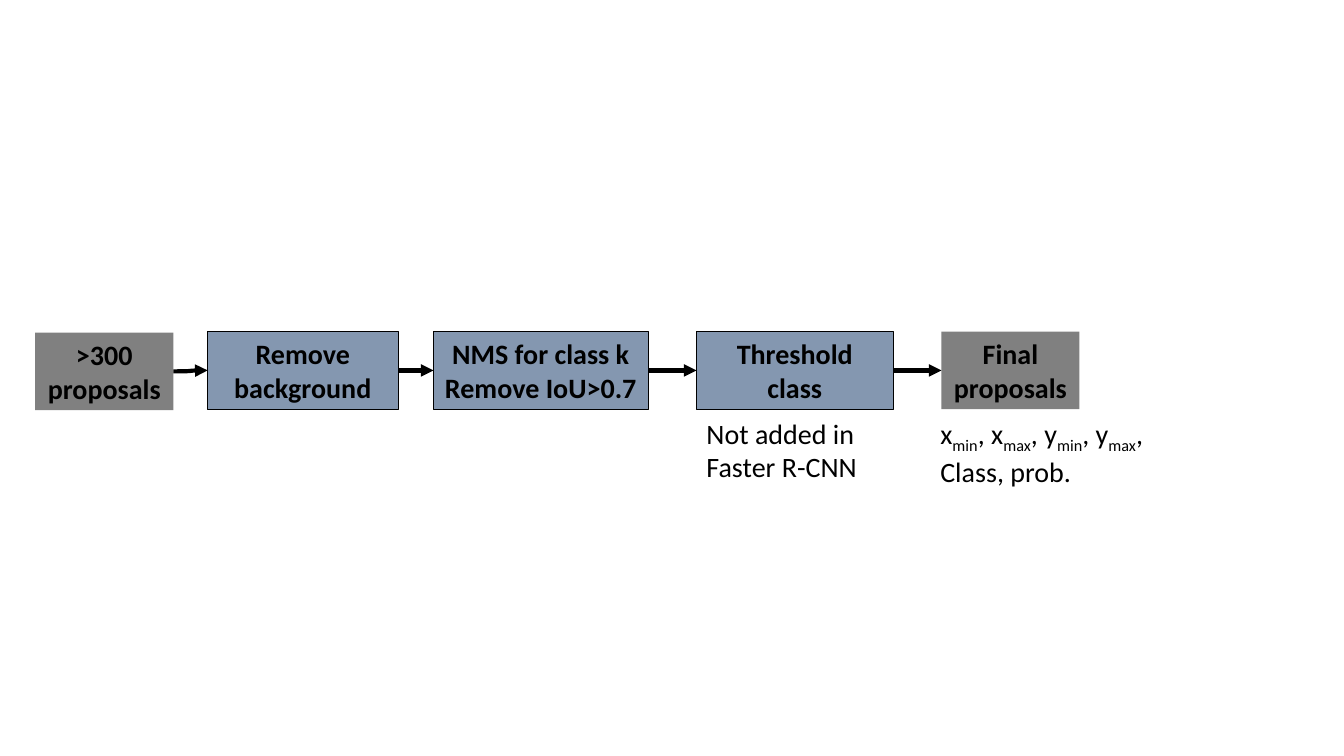
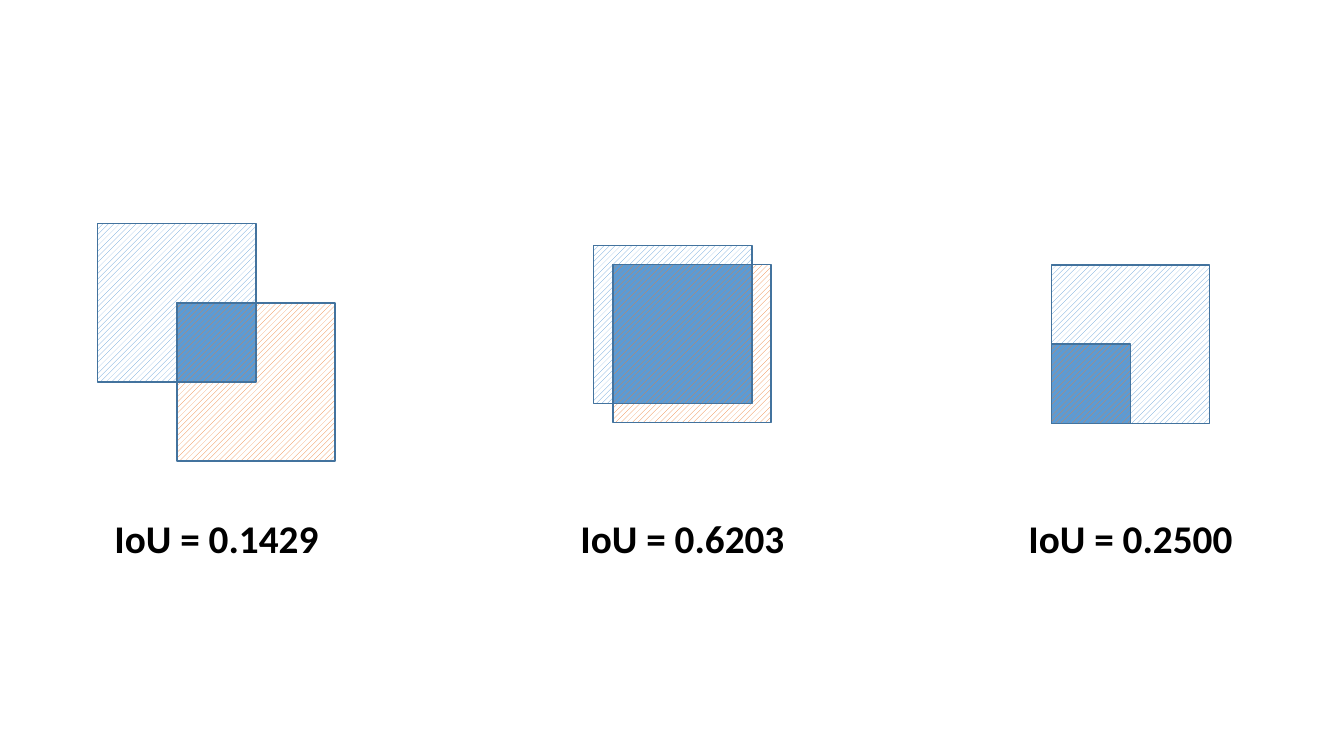
from dataclasses import dataclass
from typing import Any, Optional

from lxml import etree
from pptx import Presentation, util as u
from pptx.dml.color import RGBColor
from pptx.enum import dml, shapes, text
from pptx.oxml import ns

WIDTH, HEIGHT = u.Inches(13.333), u.Inches(7.5)
COLS = 160
CELL = WIDTH / COLS

FONT = "Calibri"
BLACK, WHITE = "000000", "FFFFFF"
GREY, SLATE = "808080", "8497B0"
BLUE, ORANGE, OUTLINE = "5B9BD5", "ED7D31", "43739E"

STAGE_Y, STAGE_H = 39.48, 9.24
SIDE = 18.84
HALF = SIDE / 2


@dataclass(frozen=True)
class Box:
    x: float
    y: float
    w: float
    h: float

    def emu(self) -> tuple[int, ...]:
        return tuple(round(v * CELL) for v in (self.x, self.y, self.w, self.h))


@dataclass(frozen=True)
class Stage:
    label: str
    x: float
    w: float
    fill: str = SLATE
    line: Optional[str] = BLACK
    y: float = STAGE_Y


@dataclass(frozen=True)
class Note:
    label: str
    x: float


@dataclass(frozen=True)
class Pair:
    caption: str
    x: float
    y: float
    dx: float
    dy: float
    side: float = SIDE


STAGES = (
    Stage(">300\nproposals", 4.2, 16.44, GREY, None, 39.6),
    Stage("Remove background", 24.72, 22.68),
    Stage("NMS for class k\nRemove IoU>0.7", 51.6, 25.56),
    Stage("Threshold\nclass", 82.92, 23.4),
    Stage("Final\nproposals", 112.08, 16.44, GREY, None),
)
NOTES = (
    Note("Not added in Faster R-CNN", 82.92),
    Note("x|min|, x|max|, y|min|, y|max|, Class, prob.", 110.76),
)
PAIRS = (
    Pair("IoU = 0.1429", 11.64, 26.64, HALF, HALF),
    Pair("IoU = 0.6203", 70.68, 29.2, 2.28, 2.28),
    Pair("IoU = 0.2500", 125.16, 31.56, 0, HALF, HALF),
)


def color(value: str) -> RGBColor:
    return RGBColor.from_string(value)


def write(tf: Any, label: str, *, size: float = 20, bold: bool = False,
          align: Any = text.PP_ALIGN.LEFT, anchor: Any = text.MSO_ANCHOR.TOP) -> None:
    tf.word_wrap = True
    tf.auto_size = text.MSO_AUTO_SIZE.SHAPE_TO_FIT_TEXT
    tf.vertical_anchor = anchor
    for i, line in enumerate(label.split("\n")):
        p = tf.add_paragraph() if i else tf.paragraphs[0]
        p.alignment = align
        for j, part in enumerate(line.split("|")):
            r = p.add_run()
            r.text = part
            r.font.name, r.font.size, r.font.bold = FONT, u.Pt(size), bold
            r.font.color.rgb = color(BLACK)
            if j % 2:
                r.font._element.set("baseline", "-25000")


def add_text(s: Any, box: Box, label: str, **style: Any) -> None:
    write(s.shapes.add_textbox(*box.emu()).text_frame, label, **style)


def add_rect(s: Any, box: Box, fill: str, line: Optional[str],
             width: float, stripes: Optional[str] = None) -> Any:
    sp = s.shapes.add_shape(shapes.MSO_SHAPE.RECTANGLE, *box.emu())
    sp.shadow.inherit = False
    if stripes:
        sp.fill.patterned()
        sp.fill.pattern = dml.MSO_PATTERN.WIDE_UPWARD_DIAGONAL
        sp.fill.fore_color.rgb = color(stripes)
        sp.fill.back_color.rgb = color(fill)
    else:
        sp.fill.solid()
        sp.fill.fore_color.rgb = color(fill)
    if line:
        sp.line.color.rgb = color(line)
        sp.line.width = u.Pt(width)
    else:
        sp.line.fill.background()
    return sp


def add_stage(s: Any, stage: Stage) -> Any:
    box = Box(stage.x, stage.y, stage.w, STAGE_H)
    sp = add_rect(s, box, stage.fill, stage.line, 0.75)
    write(sp.text_frame, stage.label, bold=True,
          align=text.PP_ALIGN.CENTER, anchor=text.MSO_ANCHOR.MIDDLE)
    return sp


def add_arrow(s: Any, start: Any, end: Any) -> None:
    arrow = s.shapes.add_connector(shapes.MSO_CONNECTOR.CURVE, 0, 0, 0, 0)
    arrow.begin_connect(start, 3)
    arrow.end_connect(end, 1)
    arrow.line.color.rgb = color(BLACK)
    arrow.line.width = u.Pt(3)
    etree.SubElement(arrow.line._get_or_add_ln(), ns.qn("a:tailEnd"), type="triangle")
    etree.SubElement(arrow._element.spPr, ns.qn("a:effectLst"))


def add_pair(s: Any, pair: Pair) -> None:
    x, y = pair.x + pair.dx, pair.y + pair.dy
    right = max(pair.x + SIDE, x + pair.side)
    first = Box(pair.x, pair.y, SIDE, SIDE)
    second = Box(x, y, pair.side, pair.side)
    overlap = Box(x, y, min(pair.side, SIDE - pair.dx), min(pair.side, SIDE - pair.dy))
    add_rect(s, first, WHITE, OUTLINE, 1, BLUE)
    if second != overlap:
        add_rect(s, second, WHITE, OUTLINE, 1, ORANGE)
    add_rect(s, overlap, BLUE, OUTLINE, 1, ORANGE)
    w = 28.32
    add_text(s, Box((pair.x + right - w) / 2, 60.6, w, 6.84), pair.caption,
             size=28, bold=True, align=text.PP_ALIGN.CENTER)


def add_pipeline_slide(prs: Any) -> None:
    s = prs.slides.add_slide(prs.slide_layouts[6])
    boxes = [add_stage(s, stage) for stage in STAGES]
    for start, end in zip(boxes, boxes[1:]):
        add_arrow(s, start, end)
    for note in NOTES:
        add_text(s, Box(note.x, 48.96, 27.84, STAGE_H), note.label)


def add_overlap_slide(prs: Any) -> None:
    s = prs.slides.add_slide(prs.slide_layouts[6])
    for pair in PAIRS:
        add_pair(s, pair)


def main() -> None:
    prs = Presentation()
    prs.slide_width, prs.slide_height = WIDTH, HEIGHT
    add_pipeline_slide(prs)
    add_overlap_slide(prs)
    prs.save("out.pptx")


if __name__ == "__main__":
    main()
